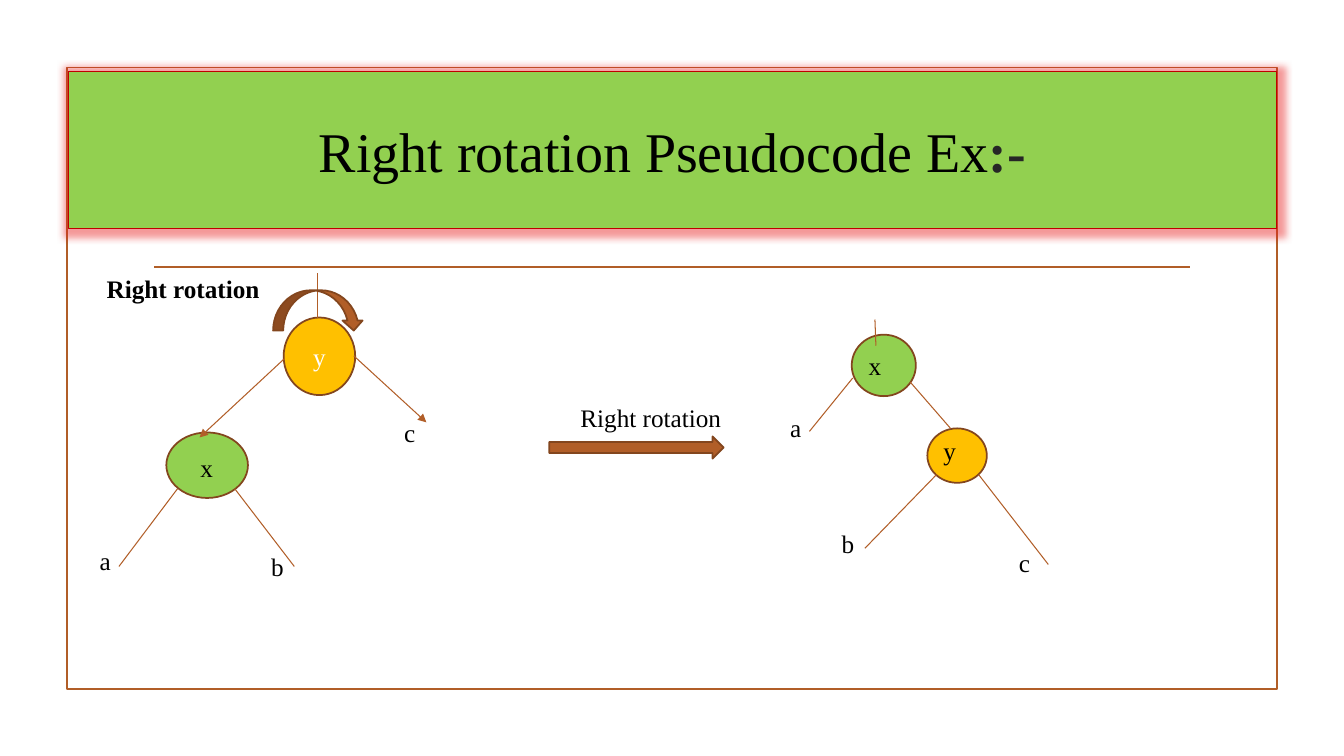
from lxml import etree
from pptx import Presentation
from pptx.dml.color import RGBColor
from pptx.enum.shapes import MSO_CONNECTOR as LINE, MSO_SHAPE as SHAPE
from pptx.enum.text import MSO_ANCHOR as ANCHOR, PP_ALIGN as ALIGN
from pptx.oxml import parse_xml
from pptx.oxml.ns import nsdecls, qn
from pptx.util import Pt

FONT = "Times New Roman"
RUST, BROWN, GREEN, AMBER = "B15E28", "83461E", "92D050", "FFC000"
BLACK, WHITE = "000000", "FFFFFF"

EDGES = [
    (110.16, 190.8, 850.32, 190.8, 1.25, False),
    (252.72, 254.16, 304.56, 301.68, 0.75, True),
    (203.04, 256.32, 142.56, 312.48, 0.75, True),
    (126.72, 349.2, 84.96, 404.64, 0.75, False),
    (167.76, 349.2, 210.24, 404.64, 0.75, False),
    (226.8, 195.12, 226.8, 226.8, 0.75, False),
    (650.16, 272.88, 678.96, 306, 0.75, False),
    (609.12, 270, 578.16, 308.16, 0.75, False),
    (699.12, 339.12, 748.8, 403.2, 0.75, False),
    (668.88, 339.12, 617.76, 391.68, 0.75, False),
]
NODES = [
    (202.6, 226.8, 51.12, 55.44, AMBER),
    (118.8, 308.9, 58.32, 46.8, GREEN),
    (608.4, 239.04, 45.8, 43.92, GREEN),
    (662.4, 306, 42.48, 38.88, AMBER),
]
LABELS = [
    ("a", 64.08, 385.92, 24.48, False),
    ("b", 186.48, 390.24, 25.2, False),
    ("c", 281.52, 294.48, 22.32, False),
    ("x", 613.44, 246.96, 42.48, False),
    ("y", 666.72, 307.44, 38.16, False),
    ("x", 136.08, 319.68, 74.88, False),
    ("a", 557.28, 290.88, 30.24, False),
    ("b", 594, 373.68, 30.24, False),
    ("c", 720.72, 387.36, 26.64, False),
    ("Right rotation", 407.52, 283.68, 157.68, False),
    ("Right rotation", 69.12, 191.52, 130.32, True),
]


def rgb(code):
    """Turn a hex string into a colour."""
    return RGBColor.from_string(code)


def style_font(font, size, color, bold=False):
    """Set the face, size, colour and weight of a font."""
    font.name, font.size, font.bold = FONT, Pt(size), bold
    font.color.rgb = rgb(color)


def style_outline(shape, color, width):
    """Set the line colour and width of a shape or connector."""
    shape.line.color.rgb = rgb(color)
    shape.line.width = Pt(width)


def add_figure(page, kind, left, top, width, height, fill=None, line=BROWN):
    """Add a preset shape, unfilled when no fill colour is given."""
    figure = page.shapes.add_shape(kind, Pt(left), Pt(top), Pt(width), Pt(height))
    figure.shadow.inherit = False
    if fill:
        figure.fill.solid()
        figure.fill.fore_color.rgb = rgb(fill)
    else:
        figure.fill.background()
    style_outline(figure, line, 1.25)
    return figure


def add_edge(page, x1, y1, x2, y2, width, arrow):
    """Add a straight line, with an arrowhead at its end if asked."""
    edge = page.shapes.add_connector(LINE.STRAIGHT, Pt(x1), Pt(y1), Pt(x2), Pt(y2))
    style_outline(edge, RUST, width)
    if arrow:
        etree.SubElement(edge.line._get_or_add_ln(), qn("a:tailEnd"), type="triangle")
    etree.SubElement(edge._element.spPr, qn("a:effectLst"))


def add_label(page, text, left, top, width, bold):
    """Add a one-line text box."""
    box = page.shapes.add_textbox(Pt(left), Pt(top), Pt(width), Pt(29.08))
    box.text_frame.word_wrap = True
    para = box.text_frame.paragraphs[0]
    para.text = text
    style_font(para.font, 18, BLACK, bold)


def write_node_key(node, text):
    """Write a centred white key inside a node."""
    frame = node.text_frame
    frame.vertical_anchor = ANCHOR.MIDDLE
    para = frame.paragraphs[0]
    para.text = text
    para.alignment = ALIGN.CENTER
    style_font(para.font, 18, WHITE)


def format_title(page):
    """Fill the title banner and bring it in front of the frame."""
    title = page.shapes.title
    title.left, title.top, title.width, title.height = Pt(49), Pt(51), Pt(862.6), Pt(112.5)
    title.fill.solid()
    title.fill.fore_color.rgb = rgb(GREEN)
    style_outline(title, "C00000", 0.75)
    title._element.spPr.append(parse_xml(
        f'<a:effectLst {nsdecls("a")}><a:glow rad="139700"><a:srgbClr val="E81E1E">'
        '<a:alpha val="45000"/></a:srgbClr></a:glow></a:effectLst>'))
    title.text_frame.vertical_anchor = ANCHOR.MIDDLE
    para = title.text_frame.paragraphs[0]
    para.alignment = ALIGN.CENTER
    for text, color, bold in (("Right rotation Pseudocode Ex", BLACK, False),
                              (":-", "262626", True)):
        span = para.add_run()
        span.text = text
        style_font(span.font, 40, color, bold)
    title._element.getparent().append(title._element)


def main():
    """Build the slide and save it."""
    deck = Presentation()
    deck.slide_width, deck.slide_height = Pt(960), Pt(540)
    page = deck.slides.add_slide(deck.slide_layouts[5])
    add_figure(page, SHAPE.RECTANGLE, 48, 48.2, 864, 444, line=RUST)
    format_title(page)
    nodes = [add_figure(page, SHAPE.OVAL, *node) for node in NODES]
    write_node_key(nodes[0], "y")
    for edge in EDGES:
        add_edge(page, *edge)
    add_edge(page, 624.96, 228.24, 625.68, 246.96, 0.75, False)
    for label in LABELS:
        add_label(page, *label)
    add_figure(page, SHAPE.RIGHT_ARROW, 392.4, 311.76, 124.56, 15.84, RUST)
    add_figure(page, SHAPE.CURVED_DOWN_ARROW, 195.12, 207.36, 64.8, 28.8, RUST)
    deck.save("out.pptx")


if __name__ == "__main__":
    main()
